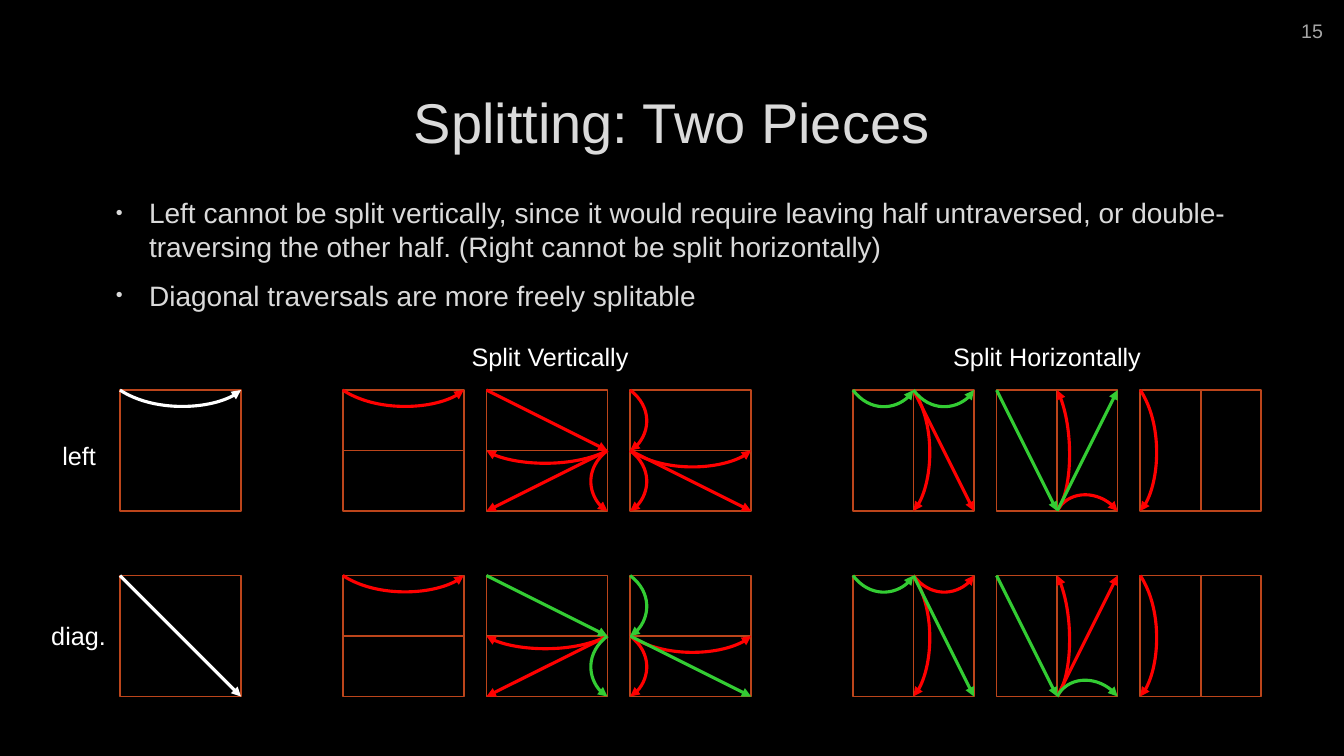
from dataclasses import dataclass

from lxml.etree import SubElement
from pptx import Presentation
from pptx.dml.color import RGBColor as Rgb
from pptx.enum.shapes import MSO_CONNECTOR as Link, MSO_SHAPE as Preset
from pptx.enum.text import MSO_ANCHOR as Anchor, PP_ALIGN as Align
from pptx.oxml.ns import qn
from pptx.util import Inches, Pt


@dataclass(frozen=True)
class Theme:
    font: str = "Arial"
    backdrop: str = "000000"
    prose: str = "DADADA"
    number: str = "A6A6A6"
    label: str = "FFFFFF"
    frame: str = "BC451B"
    whole: str = "FFFFFF"
    fail: str = "FF0000"
    valid: str = "33CC33"
    title_size: float = 40
    body_size: float = 20
    label_size: float = 18
    number_size: float = 14
    frame_width: float = 1.25
    route_width: float = 2.25


THEME = Theme()
TITLE = "Splitting: Two Pieces"
POINTS = [
    "Left cannot be split vertically, since it would require leaving half untraversed, "
    "or double-traversing the other half. (Right cannot be split horizontally)",
    "Diagonal traversals are more freely splitable",
]
LABELS = [
    ("left", (0.52, 4.32, 0.55, 0.4), Align.LEFT),
    ("diag.", (0.41, 6.11, 0.79, 0.4), Align.LEFT),
    ("Split Vertically", (4.44, 3.34, 2.03, 0.4), Align.CENTER),
    ("Split Horizontally", (9.28, 3.34, 2.21, 0.4), Align.CENTER),
]

HALF = 0.6
TILE_STEP = 1.425
ROW_TOPS = {"left": 3.87, "diag": 5.71}
WHOLE_LEFT = 1.19
DEEP, SHALLOW = 0.22, 0.17
TAIL, HEAD = "tailEnd", "headEnd"

# Each route: start, end, bow, arrow end, rows in which it is valid.
WHOLE_ROUTES = {
    "left": ((0, 0), (2, 0), DEEP, TAIL),
    "diag": ((0, 0), (2, 2), 0, TAIL),
}
GROUPS = [
    (3.4, (1, 2), [
        [((0, 0), (2, 0), DEEP, TAIL, ())],
        [
            ((0, 0), (2, 1), 0, TAIL, ("diag",)),
            ((2, 1), (0, 2), 0, TAIL, ()),
            ((2, 1), (2, 2), DEEP, TAIL, ("diag",)),
            ((2, 1), (0, 1), -SHALLOW, TAIL, ()),
        ],
        [
            ((0, 0), (0, 1), -DEEP, TAIL, ("diag",)),
            ((0, 1), (0, 2), -DEEP, TAIL, ()),
            ((0, 1), (2, 2), 0, TAIL, ("diag",)),
            ((0, 1), (2, 1), DEEP, TAIL, ()),
        ],
    ]),
    (8.46, (2, 1), [
        [
            ((1, 0), (2, 2), 0, TAIL, ("diag",)),
            ((1, 0), (1, 2), -DEEP, TAIL, ()),
            ((0, 0), (1, 0), DEEP, TAIL, ("left", "diag")),
            ((1, 0), (2, 0), DEEP, TAIL, ("left",)),
        ],
        [
            ((1, 0), (1, 2), -SHALLOW, HEAD, ()),
            ((2, 2), (1, 2), DEEP, HEAD, ("diag",)),
            ((0, 0), (1, 2), 0, TAIL, ("left", "diag")),
            ((1, 2), (2, 0), 0, TAIL, ("left",)),
        ],
        [((0, 0), (0, 2), -DEEP, TAIL, ())],
    ]),
]


def assign(target, **values):
    for name, value in values.items():
        setattr(target, name, value)


def add_text(page, lines, box, size, color, align=Align.LEFT, anchor=Anchor.TOP,
             wrap=True, bullets=False):
    frame = page.shapes.add_textbox(*map(Inches, box)).text_frame
    assign(frame, word_wrap=wrap, vertical_anchor=anchor)
    for index, line in enumerate(lines):
        para = frame.paragraphs[0] if index == 0 else frame.add_paragraph()
        para.alignment = align
        span = para.add_run()
        span.text = line
        assign(span.font, name=THEME.font, size=Pt(size))
        span.font.color.rgb = Rgb.from_string(color)
        if bullets:
            assign(para, space_before=Pt(5), space_after=Pt(6))
            props = para._p.get_or_add_pPr()
            props.set("marL", str(Inches(0.38)))
            props.set("indent", str(Inches(-0.33)))
            SubElement(props, qn("a:buSzPct"), val="70000")
            SubElement(props, qn("a:buFont"), typeface=THEME.font)
            SubElement(props, qn("a:buChar"), char="•")


def add_tile(page, left, top, cells):
    columns, rows = cells
    width, height = 2 * HALF / columns, 2 * HALF / rows
    for row in range(rows):
        for column in range(columns):
            box = (left + column * width, top + row * height, width, height)
            piece = page.shapes.add_shape(Preset.RECTANGLE, *map(Inches, box))
            piece.shadow.inherit = False
            piece.fill.background()
            piece.line.color.rgb = Rgb.from_string(THEME.frame)
            piece.line.width = Pt(THEME.frame_width)


def add_curve(page, start, end, bow):
    run, rise = end[0] - start[0], end[1] - start[1]
    length = (run ** 2 + rise ** 2) ** 0.5

    def along(share, depth):
        return (Inches(start[0] + share * run - depth * rise / length),
                Inches(start[1] + share * rise + depth * run / length))

    builder = page.shapes.build_freeform(*along(0, 0))
    builder.add_line_segments([along(0.5, 0.73 * bow), along(1, 0)], close=False)
    curve = builder.convert_to_shape()
    curve.shadow.inherit = False
    curve.fill.background()
    outline = curve._element.find(".//" + qn("a:path"))
    for segment in outline.findall(qn("a:lnTo")):
        outline.remove(segment)
    bezier = SubElement(outline, qn("a:cubicBezTo"))
    for x, y in (along(0.28, bow), along(0.83, 0.88 * bow), along(1, 0)):
        SubElement(bezier, qn("a:pt"), x=str(x - curve.left), y=str(y - curve.top))
    return curve


def add_route(page, left, top, route, color):
    start, end, bow, arrow = route[:4]
    start, end = [(left + x * HALF, top + y * HALF) for x, y in (start, end)]
    if bow:
        stroke = add_curve(page, start, end, bow)
    else:
        stroke = page.shapes.add_connector(Link.STRAIGHT, *map(Inches, start + end))
        SubElement(stroke._element.spPr, qn("a:effectLst"))
    stroke.line.color.rgb = Rgb.from_string(color)
    stroke.line.width = Pt(THEME.route_width)
    SubElement(stroke.line._get_or_add_ln(), qn("a:" + arrow), type="triangle")


def add_diagrams(page):
    split_routes = []
    for row, top in ROW_TOPS.items():
        add_tile(page, WHOLE_LEFT, top, (1, 1))
        add_route(page, WHOLE_LEFT, top, WHOLE_ROUTES[row], THEME.whole)
        for group_left, cells, tiles in GROUPS:
            for index, routes in enumerate(tiles):
                left = group_left + index * TILE_STEP
                add_tile(page, left, top, cells)
                split_routes += [(row in route[4], left, top, route) for route in routes]
    for valid, left, top, route in sorted(split_routes, key=lambda entry: entry[0]):
        add_route(page, left, top, route, THEME.valid if valid else THEME.fail)


def main():
    deck = Presentation()
    assign(deck, slide_width=Inches(13.33), slide_height=Inches(7.5))
    page = deck.slides.add_slide(deck.slide_layouts[6])
    page.background.fill.solid()
    page.background.fill.fore_color.rgb = Rgb.from_string(THEME.backdrop)
    add_text(page, [TITLE], (1, 0.67, 11.32, 1.06), THEME.title_size, THEME.prose,
             Align.CENTER, Anchor.MIDDLE)
    add_text(page, POINTS, (1, 1.89, 11.32, 0.72), THEME.body_size, THEME.prose,
             bullets=True)
    add_text(page, ["15"], (12.62, 0.1, 0.6, 0.4), THEME.number_size, THEME.number,
             Align.RIGHT, Anchor.MIDDLE)
    add_diagrams(page)
    for label, box, align in LABELS:
        add_text(page, [label], box, THEME.label_size, THEME.label, align, wrap=False)
    deck.save("out.pptx")


if __name__ == "__main__":
    main()
